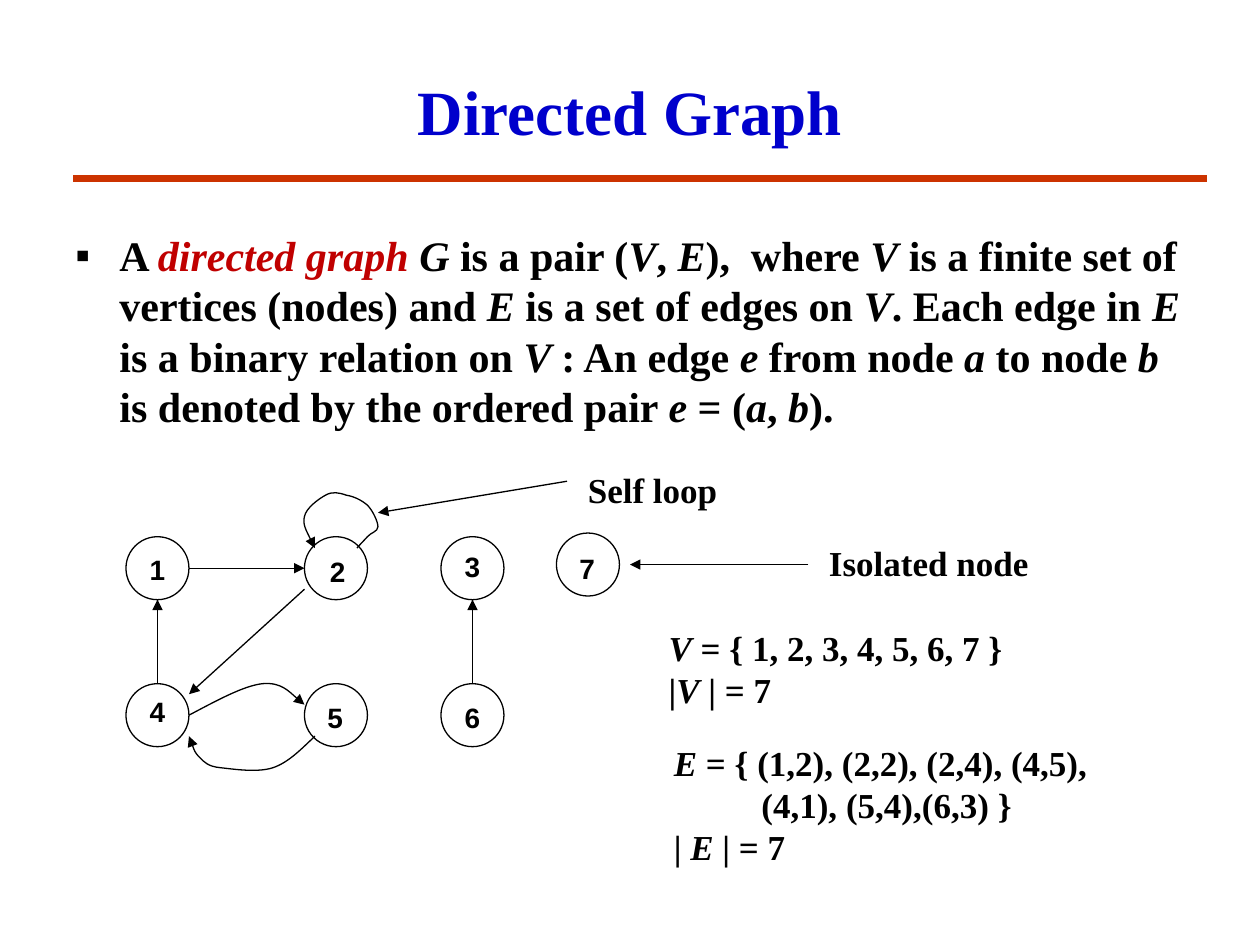
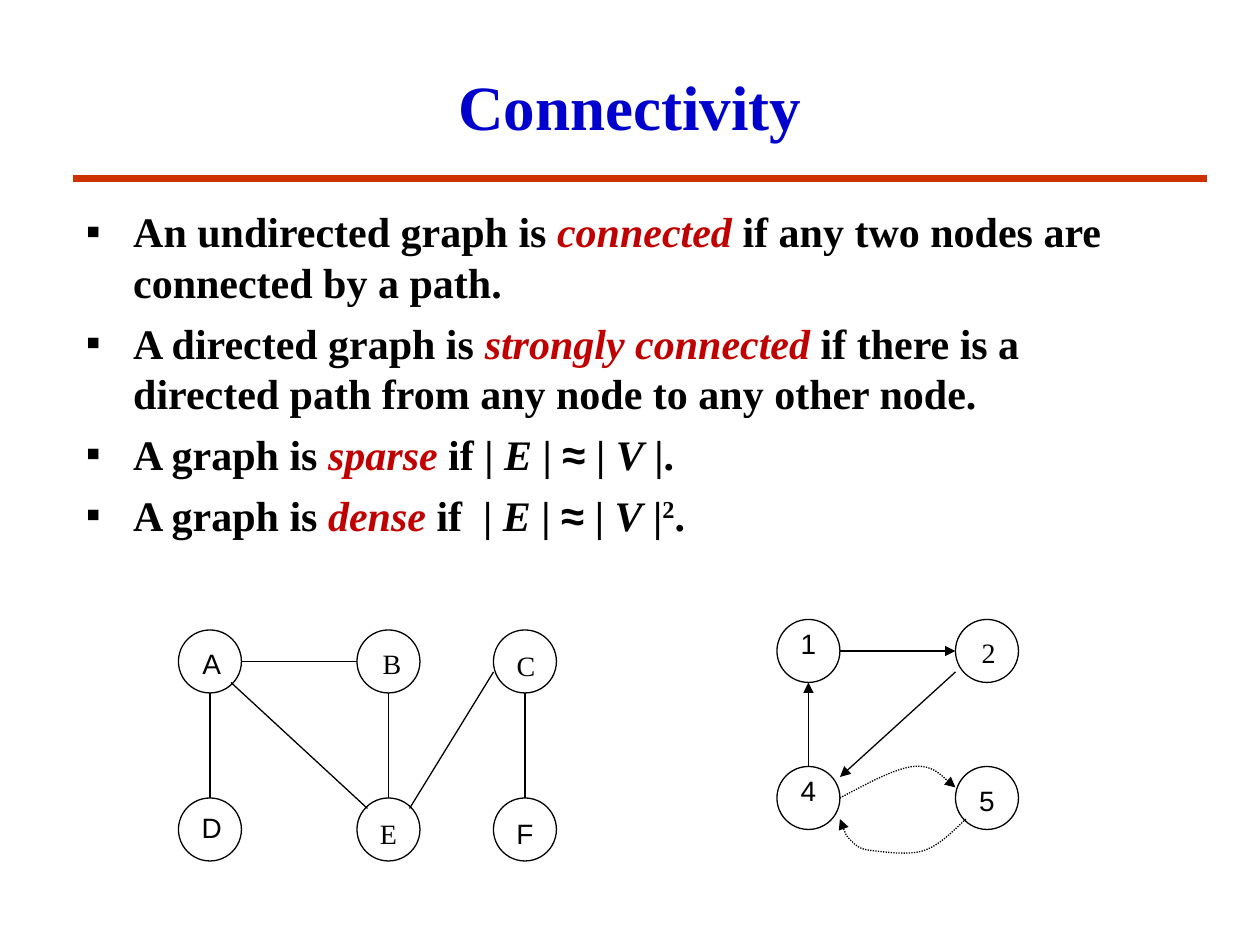
from dataclasses import dataclass
from typing import Optional

from lxml import etree
from pptx import Presentation
from pptx.dml.color import RGBColor
from pptx.enum import dml, shapes, text
from pptx.oxml import ns
from pptx.util import Pt

BLACK = RGBColor(0x00, 0x00, 0x00)
TITLE_BLUE = RGBColor(0x00, 0x00, 0xCC)
TERM_RED = RGBColor(0xC0, 0x00, 0x00)
RULE_RED = RGBColor(0xCC, 0x33, 0x00)
SERIF = "Times New Roman"
SANS = "Arial"
NODE = 36
HALF = NODE / 2
COLUMNS = (0, 102, 180)
CYCLE_DROP = 84

ARC_4_TO_5 = [(36, 102), (51.6, 93.8), (67.2, 85.2), (78, 84),
              (88.8, 83), (98.2, 93), (102, 96)]
ARC_5_TO_4 = [(108, 114), (100.3, 121.2), (93, 129), (84, 132),
              (75, 135), (60.7, 132.7), (54, 132),
              (47, 131.3), (44.9, 129), (42, 126),
              (39, 123), (37, 116.5), (36, 114)]
SELF_LOOP = [(132, 6.5), (133.2, 5), (136, 2.2), (138, 0),
             (139.7, -2.2), (144, -2.9), (144, -5.7),
             (144, -8.6), (141, -15), (138, -18),
             (134.6, -20.9), (130.3, -23), (126, -23.7),
             (121.7, -25.2), (118, -26), (114, -23.7),
             (110.2, -21.6), (103, -16.5), (102, -11.5),
             (100.8, -7.2), (104.4, -0.7), (108, 6.5)]


@dataclass
class Span:
    text: str
    italic: bool = False
    color: RGBColor = BLACK
    font: Optional[str] = None
    raised: bool = False


def var(name):
    return Span(name, italic=True)


def term(words):
    return Span(words, italic=True, color=TERM_RED)


def shift(points, origin):
    return [(x + origin[0], y + origin[1]) for x, y in points]


class GraphDeck:
    def __init__(self):
        self.deck = Presentation()
        self.deck.slide_width, self.deck.slide_height = Pt(720), Pt(540)
        self.page = None

    def new_page(self, title, top, height):
        self.page = self.deck.slides.add_slide(self.deck.slide_layouts[5])
        box = self.page.shapes.title
        box.left, box.top, box.width, box.height = Pt(54), Pt(top), Pt(612), Pt(height)
        frame = box.text_frame
        frame.word_wrap = True
        frame.vertical_anchor = text.MSO_ANCHOR.MIDDLE
        para = frame.paragraphs[0]
        para.alignment = text.PP_ALIGN.CENTER
        self.add_spans(para, [Span(title, color=TITLE_BLUE)], 36)
        self.edge((42, 102), (690, 102), arrow=False, color=RULE_RED, weight=4.5)

    def add_spans(self, para, spans, size, font=SERIF, bold=True):
        for item in spans:
            item = Span(item) if isinstance(item, str) else item
            span = para.add_run()
            span.text = item.text
            span.font.name = item.font or font
            span.font.size = Pt(size)
            span.font.bold = bold
            span.font.italic = item.italic
            span.font.color.rgb = item.color
            if item.raised:
                span._r.get_or_add_rPr().set("baseline", "30000")

    def text_box(self, left, top, width, height, lines, size=20, indents=None,
                 anchor=text.MSO_ANCHOR.TOP, **style):
        box = self.page.shapes.add_textbox(Pt(left), Pt(top), Pt(width), Pt(height))
        frame = box.text_frame
        frame.word_wrap = True
        frame.vertical_anchor = anchor
        for index, spans in enumerate(lines):
            para = frame.add_paragraph() if index else frame.paragraphs[0]
            if indents and indents[index]:
                para._p.get_or_add_pPr().set("marL", str(Pt(indents[index])))
            self.add_spans(para, spans, size, **style)
        return box

    def bullets(self, left, top, width, height, lines, indent, gap, anchor):
        box = self.text_box(left, top, width, height, lines, 24, anchor=anchor)
        for para in box.text_frame.paragraphs:
            para.space_before = Pt(gap)
            props = para._p.get_or_add_pPr()
            props.set("marL", str(Pt(indent)))
            props.set("indent", str(-Pt(indent)))
            etree.SubElement(props, ns.qn("a:buFont")).set("typeface", SANS)
            etree.SubElement(props, ns.qn("a:buChar")).set("char", "▪")

    def node(self, left, top, label, nudge=(0, 0), font=SANS, bold=False):
        circle = self.page.shapes.add_shape(
            shapes.MSO_SHAPE.OVAL, Pt(left), Pt(top), Pt(NODE), Pt(NODE))
        circle.shadow.inherit = False
        circle.fill.background()
        self.stroke(circle)
        box = self.text_box(left + nudge[0], top + nudge[1], NODE, NODE, [[label]], 16,
                            anchor=text.MSO_ANCHOR.MIDDLE, font=font, bold=bold)
        frame = box.text_frame
        frame.margin_left = frame.margin_right = frame.margin_top = frame.margin_bottom = 0
        frame.paragraphs[0].alignment = text.PP_ALIGN.CENTER

    def stroke(self, item, color=BLACK, weight=0.75, arrow=False, dotted=False):
        item.line.color.rgb = color
        item.line.width = Pt(weight)
        if dotted:
            item.line.dash_style = dml.MSO_LINE.ROUND_DOT
        if arrow:
            etree.SubElement(item.get_or_add_ln(), ns.qn("a:tailEnd")).set("type", "triangle")

    def edge(self, start, end, arrow=True, **style):
        line = self.page.shapes.add_connector(
            shapes.MSO_CONNECTOR.STRAIGHT, *(Pt(v) for v in (*start, *end)))
        self.stroke(line, arrow=arrow, **style)
        etree.SubElement(line._element.spPr, ns.qn("a:effectLst"))

    def curve(self, points, dotted=False):
        start, *rest = [(Pt(x), Pt(y)) for x, y in points]
        builder = self.page.shapes.build_freeform(*start)
        builder.add_line_segments(rest, close=False)
        arc = builder.convert_to_shape()
        segments = arc._element.xpath(".//a:lnTo")
        for first in range(0, len(segments), 3):
            bezier = etree.Element(ns.qn("a:cubicBezTo"))
            segments[first].addprevious(bezier)
            for segment in segments[first:first + 3]:
                bezier.append(segment[0])
                segment.getparent().remove(segment)
        arc.shadow.inherit = False
        arc.fill.background()
        self.stroke(arc, arrow=True, dotted=dotted)

    def cycle(self, origin, labels, bold=False, dotted=False):
        left, top = origin
        for index, (label, nudge, font) in enumerate(labels):
            row, column = divmod(index, 2)
            self.node(left + COLUMNS[column], top + row * CYCLE_DROP, label, nudge, font, bold)
        for ends in ([(HALF, CYCLE_DROP), (HALF, NODE)],
                     [(NODE, HALF), (COLUMNS[1], HALF)],
                     [(COLUMNS[1], 30), (NODE, 90)]):
            self.edge(*shift(ends, origin))
        for points in (ARC_4_TO_5, ARC_5_TO_4):
            self.curve(shift(points, origin), dotted)


def directed_graph(deck):
    deck.new_page("Directed Graph", 30, 66)
    deck.bullets(36, 113.8, 648, 149.8, [[
        "A ", term("directed graph "), var("G"), " is a pair (", var("V"), ", ", var("E"),
        "),  where ", var("V"), " is a finite set of vertices (nodes) and ", var("E"),
        " is a set of edges on ", var("V"), ". Each edge in ", var("E"),
        " is a binary relation on ", var("V "), ": An edge ", var("e"), " from node ",
        var("a"), " to node ", var("b "), "is denoted by the ordered pair ", var("e"),
        " = (", var("a"), ", ", var("b"), ")."]], 25.2, 3, text.MSO_ANCHOR.MIDDLE)

    origin = left, top = 72, 306.7
    deck.cycle(origin, [("1", (0, 0.5), SANS), ("2", (1, 2), SANS),
                        ("4", (0, -2), SANS), ("5", (-0.5, 1), SANS)], bold=True)
    deck.curve(shift(SELF_LOOP, origin))
    third = left + COLUMNS[2]
    deck.node(third, top, "3", (0, -1), bold=True)
    deck.node(third, top + CYCLE_DROP, "6", (0, 1), bold=True)
    deck.edge((third + HALF, top + CYCLE_DROP), (third + HALF, top + NODE))
    deck.node(318, 304.6, "7", (-0.5, 2), bold=True)

    deck.edge((324, 275), (216, 293))
    deck.text_box(328.8, 264.4, 110, 31.5, [["Self loop"]])
    deck.edge((462, 322.6), (360, 322.6))
    deck.text_box(466.6, 306, 150, 31.5, [["Isolated node"]])
    deck.text_box(375, 354.2, 230, 55.5, [
        [var("V"), " = { 1, 2, 3, 4, 5, 6, 7 }"],
        ["|", var("V"), " | = 7"]])
    deck.text_box(378, 420, 280, 79.5, [
        [var("E"), " = { (1,2), (2,2), (2,4), (4,5),"],
        ["(4,1), (5,4),(6,3) }"],
        ["| ", var("E"), " | = 7"]], indents=(0, 50, 0))


def connectivity(deck):
    deck.new_page("Connectivity", 24, 72)
    approx = Span("≈", font=SANS)
    size_ratio = [var("E"), " | ", approx, " | ", var("V")]
    deck.bullets(42, 114, 624, 354, [
        ["An undirected graph is ", term("connected"),
         " if any two nodes are connected by a path."],
        ["A directed graph is ", term("strongly connected "),
         "if there is a directed path from any node to any other node."],
        ["A graph is ", term("sparse"), " if | ", *size_ratio, " |."],
        ["A graph is ", term("dense"), " if  | ", *size_ratio, " |",
         Span("2", raised=True), "."]], 27, 6, text.MSO_ANCHOR.TOP)

    left, top, drop = 102, 360, 96
    labels = [("A", (1, 1), SANS), ("B", (2, 1), SERIF), ("C", (0.5, 2), SERIF),
              ("D", (1, -1), SANS), ("E", (0, 2), SERIF), ("F", (0, 2), SANS)]
    for index, (label, nudge, font) in enumerate(labels):
        row, column = divmod(index, 3)
        deck.node(left + COLUMNS[column], top + row * drop, label, nudge, font)
    uprights = [[(x + HALF, drop), (x + HALF, NODE)] for x in COLUMNS]
    for ends in (*uprights, [(NODE, HALF), (COLUMNS[1], HALF)],
                 [(30, 30), (108, 102)], [(180, 24), (132, 102)]):
        deck.edge(*shift(ends, (left, top)), arrow=False)

    deck.cycle((444, 354), [("1", (0, -4.5), SANS), ("2", (1, 1), SERIF),
                            ("4", (0, -4.5), SANS), ("5", (0, 1.5), SANS)], dotted=True)


def main():
    deck = GraphDeck()
    directed_graph(deck)
    connectivity(deck)
    deck.deck.save("out.pptx")


if __name__ == "__main__":
    main()
